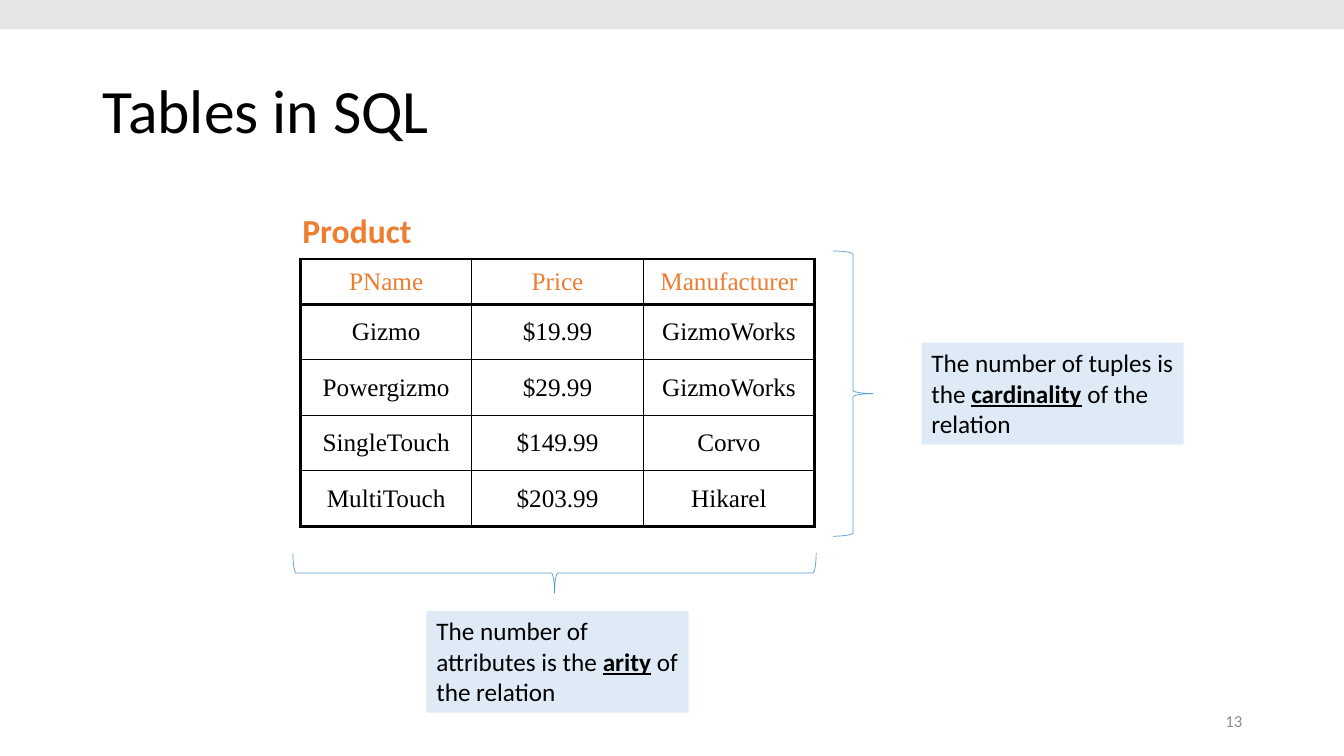
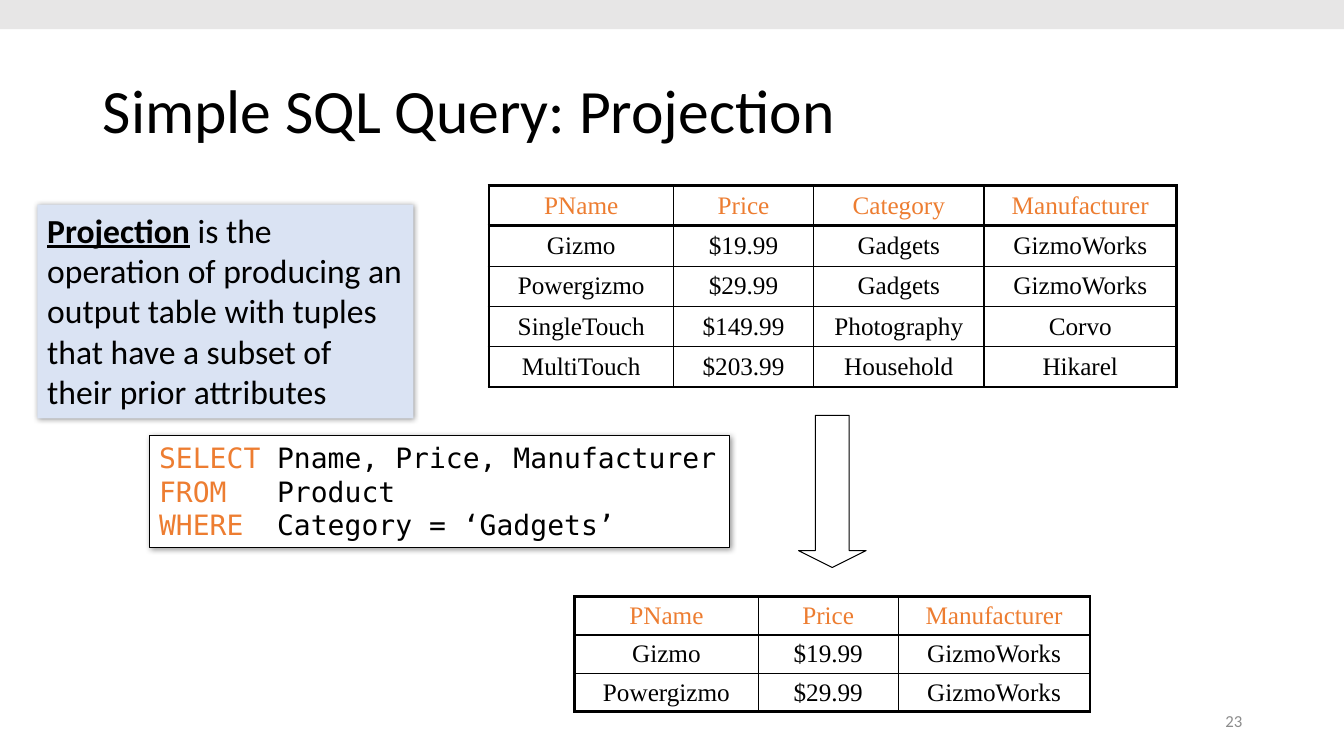
import pptx
import pptx.dml.color
import pptx.enum.shapes
import pptx.enum.text
import pptx.oxml
import pptx.oxml.ns
import pptx.util

Inches = pptx.util.Inches
Pt = pptx.util.Pt
SHAPES = pptx.enum.shapes.MSO_SHAPE
ALIGN = pptx.enum.text.PP_ALIGN
ANCHOR = pptx.enum.text.MSO_ANCHOR
NAMESPACE = pptx.oxml.ns.nsdecls("a")

BLACK = "000000"
WHITE = "FFFFFF"
ORANGE = "ED7D31"
BLUE = "5B9BD5"
PALE_BLUE = "DEEBF7"
LAVENDER = "DAE3F3"
BAND_GREY = "E7E6E6"
NUMBER_GREY = "8C8C8C"
SANS = "Calibri"
SERIF = "Times New Roman"
MONO = "DejaVu Sans Mono"
THICK, THIN = 2.25, 1

PRODUCTS = [
    ("PName", "Price", "Category", "Manufacturer"),
    ("Gizmo", "$19.99", "Gadgets", "GizmoWorks"),
    ("Powergizmo", "$29.99", "Gadgets", "GizmoWorks"),
    ("SingleTouch", "$149.99", "Photography", "Corvo"),
    ("MultiTouch", "$203.99", "Household", "Hikarel"),
]
PRODUCTS_WITHOUT_CATEGORY = [(name, price, maker) for name, price, _, maker in PRODUCTS]


def rgb(hex_code):
    return pptx.dml.color.RGBColor.from_string(hex_code)


def add_run(paragraph, text, size, color=BLACK, font=SANS, bold=False, underline=False):
    run = paragraph.add_run()
    run.text = text
    run.font.size = Pt(size)
    run.font.name = font
    run.font.color.rgb = rgb(color)
    run.font.bold = bold
    run.font.underline = underline


def add_label(slide, box, text, size, color, bold=False, align=ALIGN.LEFT, anchor=ANCHOR.TOP, wrap=True):
    frame = slide.shapes.add_textbox(*map(Inches, box)).text_frame
    frame.word_wrap = wrap
    frame.vertical_anchor = anchor
    frame.paragraphs[0].alignment = align
    add_run(frame.paragraphs[0], text, size, color, bold=bold)


def add_figure(slide, preset, box, fill=None, line=None, line_width=0.75):
    figure = slide.shapes.add_shape(preset, *map(Inches, box))
    figure.shadow.inherit = False
    if fill:
        figure.fill.solid()
        figure.fill.fore_color.rgb = rgb(fill)
    else:
        figure.fill.background()
    if line:
        figure.line.color.rgb = rgb(line)
        figure.line.width = Pt(line_width)
    else:
        figure.line.fill.background()
    frame = figure.text_frame
    frame.vertical_anchor = ANCHOR.TOP
    frame.paragraphs[0].alignment = ALIGN.LEFT
    return figure


def add_soft_shadow(figure):
    effects = figure.element.spPr.find(pptx.oxml.ns.qn("a:effectLst"))
    effects.append(pptx.oxml.parse_xml(
        f'<a:outerShdw {NAMESPACE} blurRad="{Pt(4)}" dist="{Pt(1)}" dir="{45 * 60000}" rotWithShape="0">'
        f'<a:srgbClr val="{BLACK}"><a:alpha val="40000"/></a:srgbClr></a:outerShdw>'))


def add_definition(slide, box, fill, size, before, term, after):
    definition = add_figure(slide, SHAPES.RECTANGLE, box, fill)
    definition.text_frame.word_wrap = True
    sentence = definition.text_frame.paragraphs[0]
    if before:
        add_run(sentence, before, size)
    add_run(sentence, term, size, bold=True, underline=True)
    add_run(sentence, after, size)
    return definition


def add_brace(slide, box, rotation=0):
    brace = add_figure(slide, SHAPES.RIGHT_BRACE, box, line=BLUE, line_width=0.5)
    brace.rotation = rotation


def set_borders(cell, widths):
    properties = cell._tc.get_or_add_tcPr()
    for side, width in zip("LRTB", widths):
        properties.append(pptx.oxml.parse_xml(
            f'<a:ln{side} {NAMESPACE} w="{Pt(width)}"><a:solidFill>'
            f'<a:srgbClr val="{BLACK}"/></a:solidFill></a:ln{side}>'))


def add_relation(slide, left, top, column_widths, row_heights, rows):
    relation = slide.shapes.add_table(
        len(rows), len(column_widths), Inches(left), Inches(top),
        Inches(sum(column_widths)), Inches(sum(row_heights))).table
    relation.first_row = False
    relation.horz_banding = False
    for column, width in zip(relation.columns, column_widths):
        column.width = Inches(width)
    last_row, last_column = len(rows) - 1, len(column_widths) - 1
    for r, (values, height) in enumerate(zip(rows, row_heights)):
        relation.rows[r].height = Inches(height)
        for c, value in enumerate(values):
            cell = relation.cell(r, c)
            heavy_sides = (c == 0, c == last_column, r <= 1, r in (0, last_row))
            set_borders(cell, [THICK if heavy else THIN for heavy in heavy_sides])
            cell.fill.background()
            cell.margin_top = cell.margin_bottom = Inches(0.04)
            cell.vertical_anchor = ANCHOR.MIDDLE
            paragraph = cell.text_frame.paragraphs[0]
            paragraph.alignment = ALIGN.CENTER
            add_run(paragraph, value, 18, BLACK if r else ORANGE, SERIF)


def add_query(slide, box, clauses):
    query = add_figure(slide, SHAPES.RECTANGLE, box, WHITE, BLACK)
    add_soft_shadow(query)
    frame = query.text_frame
    frame.word_wrap = False
    for i, (keyword, operand) in enumerate(clauses):
        clause = frame.add_paragraph() if i else frame.paragraphs[0]
        clause.alignment = ALIGN.LEFT
        clause._p.get_or_add_pPr().append(pptx.oxml.parse_xml(
            f'<a:tabLst {NAMESPACE}><a:tab pos="{Inches(1.17)}" algn="l"/></a:tabLst>'))
        add_run(clause, keyword + "\t", 20, ORANGE, MONO)
        add_run(clause, operand, 20, BLACK, MONO)


def start_slide(deck, title, number):
    slide = deck.slides.add_slide(deck.slide_layouts[5])
    add_figure(slide, SHAPES.RECTANGLE, (0, 0, 13.33, 0.29), BAND_GREY)
    heading = slide.shapes.title
    heading.left, heading.top, heading.width, heading.height = map(Inches, (0.92, 0.4, 11.5, 1.45))
    frame = heading.text_frame
    frame.auto_size = pptx.enum.text.MSO_AUTO_SIZE.NONE
    frame.vertical_anchor = ANCHOR.MIDDLE
    frame.paragraphs[0].alignment = ALIGN.LEFT
    frame.paragraphs[0].line_spacing = 0.9
    add_run(frame.paragraphs[0], title, 44)
    add_label(slide, (9.42, 6.95, 3, 0.4), number, 12, NUMBER_GREY,
              align=ALIGN.RIGHT, anchor=ANCHOR.MIDDLE)
    return slide


def build_tables_slide(deck):
    slide = start_slide(deck, "Tables in SQL", "13")
    add_label(slide, (2.9, 2.03, 1.3, 0.5), "Product", 24, ORANGE, bold=True, wrap=False)
    add_relation(slide, 2.98, 2.57, [1.7] * 3, [0.45] + [0.55] * 4, PRODUCTS_WITHOUT_CATEGORY)
    add_brace(slide, (8.26, 2.49, 0.4, 2.83))
    add_definition(slide, (9.14, 3.4, 2.6, 1.01), PALE_BLUE, 18,
                   "The number of tuples is the ", "cardinality", " of the relation")
    add_brace(slide, (5.3, 3.09, 0.4, 5.19), rotation=90)
    add_definition(slide, (4.23, 6.06, 2.6, 1.01), PALE_BLUE, 18,
                   "The number of attributes is the ", "arity", " of the relation")


def build_projection_slide(deck):
    slide = start_slide(deck, "Simple SQL Query: Projection", "23")
    add_relation(slide, 4.85, 1.84, [1.83, 1.39, 1.69, 1.91], [0.4] * 5, PRODUCTS)
    add_figure(slide, SHAPES.DOWN_ARROW, (7.92, 4.12, 0.67, 1.51), line=BLACK).adjustments[1] = 0.25
    add_relation(slide, 5.7, 5.92, [1.82, 1.39, 1.9], [0.38] * 3, PRODUCTS_WITHOUT_CATEGORY[:3])
    add_query(slide, (1.48, 4.32, 5.76, 1.11), [
        ("SELECT", "Pname, Price, Manufacturer"),
        ("FROM", "Product"),
        ("WHERE", "Category = ‘Gadgets’"),
    ])
    projection = add_definition(
        slide, (0.37, 2.03, 3.73, 2.12), LAVENDER, 24, "", "Projection",
        " is the operation of producing an output table with tuples "
        "that have a subset of their prior attributes")
    add_soft_shadow(projection)


def main():
    deck = pptx.Presentation()
    deck.slide_width = Inches(13.33)
    deck.slide_height = Inches(7.5)
    build_tables_slide(deck)
    build_projection_slide(deck)
    deck.save("out.pptx")


if __name__ == "__main__":
    main()
